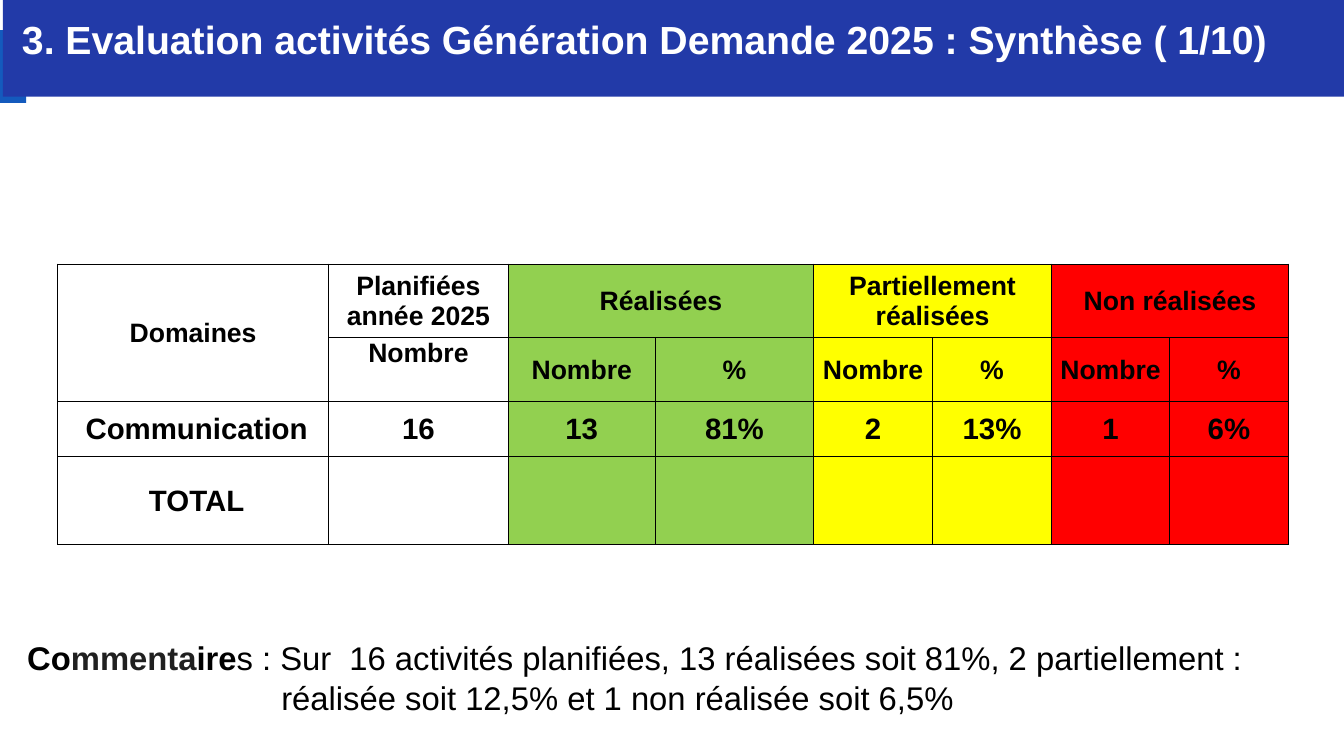
from lxml import etree
from pptx import Presentation
from pptx.dml.color import RGBColor
from pptx.enum.shapes import MSO_SHAPE as Shape
from pptx.enum.text import MSO_ANCHOR as Anchor, PP_ALIGN as Align
from pptx.oxml.ns import qn
from pptx.util import Inches, Pt

BLACK, GREY, WHITE = "000000", "202020", "FFFFFF"
GREEN, YELLOW, RED = "92D050", "FFFF00", "FF0000"
COLUMN_FILLS = [None, None, GREEN, GREEN, YELLOW, YELLOW, RED, RED]
COLUMN_WIDTHS = [2.69, 1.78, 1.46, 1.57, 1.18, 1.18, 1.17, 1.18]
ROW_HEIGHTS = [0.73, 0.63, 0.55, 0.87]
ROW_SIZES = [19, 19, 21, 21]
ROWS = [
    ["Domaines", "Planifiées année 2025", "Réalisées", "",
     "Partiellement réalisées", "", "Non réalisées", ""],
    ["", "Nombre"] + ["Nombre", "%"] * 3,
    ["Communication", "16", "13", "81%", "2", "13%", "1", "6%"],
    ["TOTAL"] + [""] * 7,
]
# First and last cell of each merged heading, as (row, column)
MERGES = [((0, 0), (1, 0))] + [((0, c), (0, c + 1)) for c in (2, 4, 6)]


def color(value):
    return RGBColor.from_string(value)


def apply(target, values):
    for name, value in values.items():
        setattr(target, name, value)


def add_run(paragraph, text, size, hex_color=BLACK, bold=True):
    run = paragraph.add_run()
    run.text = text
    apply(run.font, {"name": "Arial", "size": Pt(size), "bold": bold})
    run.font.color.rgb = color(hex_color)


def add_bar(slide, left, top, width, height, fill):
    shape = slide.shapes.add_shape(
        Shape.RECTANGLE, Inches(left), Inches(top), Inches(width), Inches(height))
    shape.shadow.inherit = False
    shape.fill.solid()
    shape.fill.fore_color.rgb = color(fill)
    shape.line.fill.background()


def add_text_box(slide, left, top, width, height, inset_x, inset_y, anchor):
    box = slide.shapes.add_textbox(
        Inches(left), Inches(top), Inches(width), Inches(height))
    apply(box.text_frame, {
        "word_wrap": True, "vertical_anchor": anchor,
        "margin_left": Inches(inset_x), "margin_right": Inches(inset_x),
        "margin_top": Inches(inset_y), "margin_bottom": Inches(inset_y)})
    return box.text_frame.paragraphs[0]


def add_borders(cell):
    properties = cell._tc.get_or_add_tcPr()
    for side in ("lnL", "lnR", "lnT", "lnB"):
        line = etree.SubElement(properties, qn(f"a:{side}"), w=str(Pt(0.75)))
        fill = etree.SubElement(line, qn("a:solidFill"))
        etree.SubElement(fill, qn("a:srgbClr"), val=BLACK)


def format_cell(cell, text, size, fill, left_margin, anchor):
    add_borders(cell)
    if fill:
        cell.fill.solid()
        cell.fill.fore_color.rgb = color(fill)
    else:
        cell.fill.background()
    apply(cell, {
        "vertical_anchor": anchor, "margin_left": Inches(left_margin),
        "margin_right": Inches(0.01), "margin_top": Inches(0.01), "margin_bottom": 0})
    paragraph = cell.text_frame.paragraphs[0]
    paragraph.alignment = Align.CENTER
    if text:
        add_run(paragraph, text, size)


def add_summary_table(slide, left, top):
    table = slide.shapes.add_table(
        len(ROWS), len(COLUMN_WIDTHS), Inches(left), Inches(top),
        Inches(sum(COLUMN_WIDTHS)), Inches(sum(ROW_HEIGHTS))).table
    apply(table, {"first_row": False, "horz_banding": False})
    for column, width in zip(table.columns, COLUMN_WIDTHS):
        column.width = Inches(width)
    for row, height in zip(table.rows, ROW_HEIGHTS):
        row.height = Inches(height)
    for first, last in MERGES:
        table.cell(*first).merge(table.cell(*last))
    for r, texts in enumerate(ROWS):
        for c, text in enumerate(texts):
            left_margin = 0.08 if c == 0 and r > 1 else 0.01
            anchor = Anchor.TOP if (r, c) == (1, 1) else Anchor.MIDDLE
            format_cell(table.cell(r, c), text, ROW_SIZES[r],
                        COLUMN_FILLS[c], left_margin, anchor)


def add_comment(slide):
    paragraph = add_text_box(slide, 0.14, 6.17, 13.08, 1.1, 0.13, 0.07, Anchor.MIDDLE)
    # Hanging indent places the second line under the sentence
    properties = paragraph._p.get_or_add_pPr()
    properties.set("marL", str(Inches(2.52)))
    properties.set("indent", str(-Inches(2.52)))
    size = 23.4
    add_run(paragraph, "Co", size)
    add_run(paragraph, "mmenta", size, GREY)
    add_run(paragraph, "ire", size)
    add_run(paragraph, "s : Sur  16 activités planifiées, 13 réalisées soit 81%, "
            "2 partiellement :", size, bold=False)
    paragraph.add_line_break()
    add_run(paragraph, "réalisée soit 12,5% et 1 non réalisée soit 6,5%", size, bold=False)


def main():
    presentation = Presentation()
    apply(presentation, {"slide_width": Inches(13.33), "slide_height": Inches(7.5)})
    slide = presentation.slides.add_slide(presentation.slide_layouts[6])

    # Title band
    add_bar(slide, 0, 0.3, 0.26, 0.72, "145ABD")
    add_bar(slide, 0.03, 0, 13.3, 0.96, "223AA8")
    title = add_text_box(slide, 0.12, 0.1, 13.1, 0.63, 0.1, 0.1, Anchor.TOP)
    title.line_spacing = 0.9
    add_run(title, "3. Evaluation activités Génération Demande 2025 : Synthèse ( 1/10)",
            28, WHITE)

    # Table and comment
    add_summary_table(slide, 0.57, 2.62)
    add_comment(slide)
    presentation.save("out.pptx")


if __name__ == "__main__":
    main()
